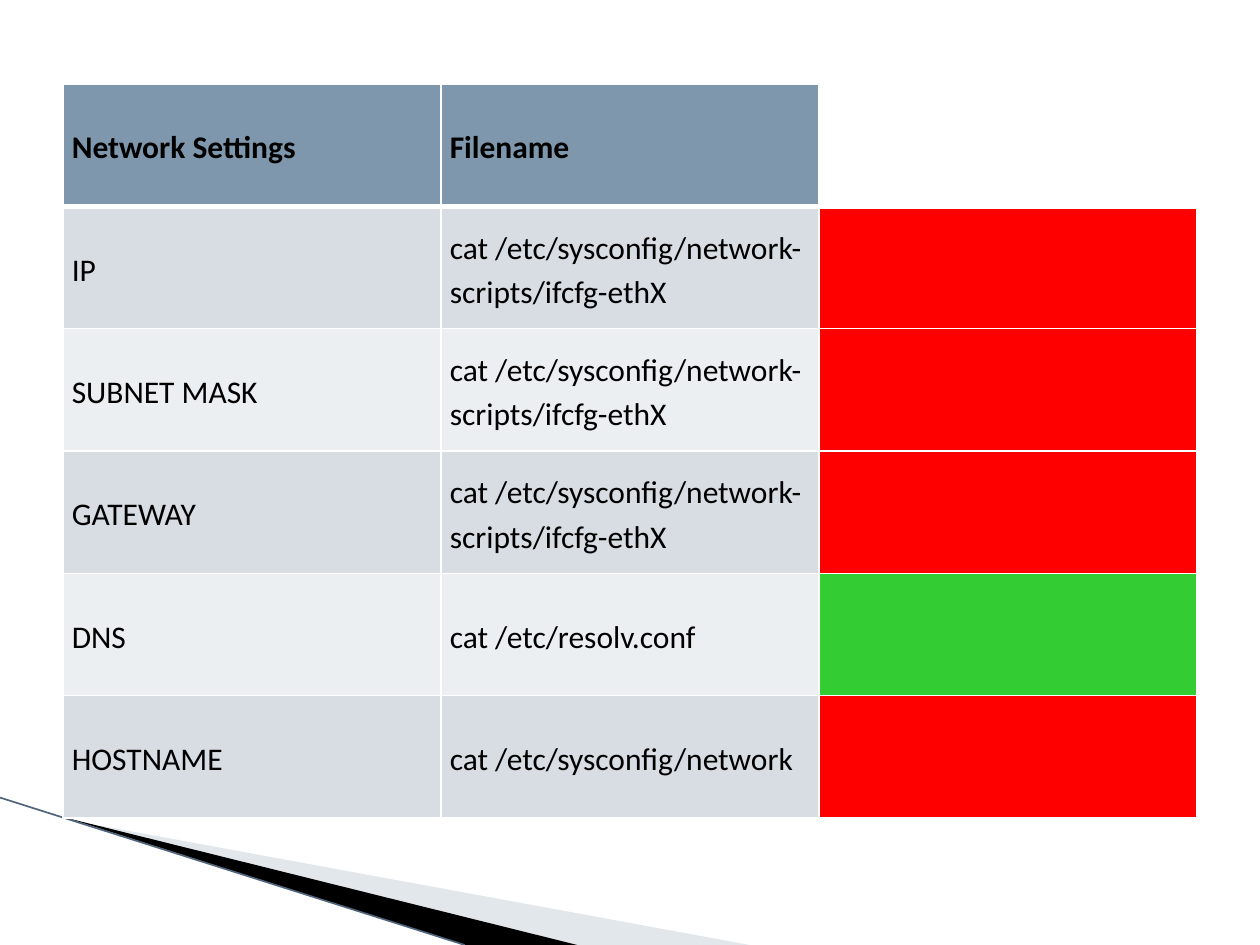
import dataclasses

import lxml.etree
import pptx
import pptx.dml.color
import pptx.enum.shapes
import pptx.enum.text
import pptx.oxml.ns
import pptx.util


@dataclasses.dataclass(frozen=True)
class Theme:
    font: str = "Calibri"
    text_size: int = 18
    line_spacing: float = 1.15
    ink: str = "000000"
    paper: str = "FFFFFF"
    header: str = "7E97AD"
    bands: tuple = ("D8DDE3", "ECEFF1")
    red: str = "FF0000"
    green: str = "33CC33"
    pale_wedge: str = "B7C4D0"
    pale_opacity: int = 40
    edge: str = "50657B"
    edge_width: float = 0.95
    rule: float = 1
    header_rule: float = 3


THEME = Theme()
INTERFACE_FILE = "cat /etc/sysconfig/network-scripts/ifcfg-ethX"
SETTINGS = [
    ("IP", INTERFACE_FILE, THEME.red),
    ("SUBNET MASK", INTERFACE_FILE, THEME.red),
    ("GATEWAY", INTERFACE_FILE, THEME.red),
    ("DNS", "cat /etc/resolv.conf", THEME.green),
    ("HOSTNAME", "cat /etc/sysconfig/network", THEME.red),
]


def rgb(value):
    return pptx.dml.color.RGBColor.from_string(value)


def add_child(parent, tag, **attributes):
    child = lxml.etree.SubElement(parent, pptx.oxml.ns.qn(tag))
    for key, value in attributes.items():
        child.set(key, str(value))
    return child


def place(box, across, down):
    left, top, width, height = box
    return round(left + across * width), round(top + down * height)


def draw_wedge(slide, box, corners, color, opacity=100):
    start, *rest = [place(box, *corner) for corner in corners]
    outline = slide.shapes.build_freeform(*start)
    outline.add_line_segments(rest, close=True)
    wedge = outline.convert_to_shape()
    wedge.shadow.inherit = False
    wedge.fill.solid()
    wedge.fill.fore_color.rgb = rgb(color)
    wedge.line.fill.background()
    if opacity < 100:
        tint = wedge.fill._xPr.find(".//" + pptx.oxml.ns.qn("a:srgbClr"))
        add_child(tint, "a:alpha", val=opacity * 1000)


def draw_corner(slide, box):
    draw_wedge(slide, box, [(0.09, 0.15), (1, 1), (0.77, 1)],
               THEME.pale_wedge, THEME.pale_opacity)
    draw_wedge(slide, box, [(0.09, 0.14), (0.77, 1), (0.62, 1)], THEME.ink)
    edge = slide.shapes.add_connector(
        pptx.enum.shapes.MSO_CONNECTOR.STRAIGHT,
        *place(box, 0, 0), *place(box, 0.62, 1))
    edge.line.color.rgb = rgb(THEME.edge)
    edge.line.width = pptx.util.Pt(THEME.edge_width)
    add_child(edge._element.spPr, "a:effectLst")


def rule_cell(cell, top, bottom):
    properties = cell._tc.get_or_add_tcPr()
    widths = {"a:lnL": THEME.rule, "a:lnR": THEME.rule,
              "a:lnT": top, "a:lnB": bottom}
    for tag, width in widths.items():
        rule = add_child(properties, tag, w=pptx.util.Pt(width))
        add_child(add_child(rule, "a:solidFill"), "a:srgbClr", val=THEME.paper)


def write_cell(cell, wording, bold):
    cell.vertical_anchor = pptx.enum.text.MSO_ANCHOR.MIDDLE
    cell.margin_left = cell.margin_right = pptx.util.Inches(0.07)
    cell.margin_top = cell.margin_bottom = 0
    paragraph = cell.text_frame.paragraphs[0]
    paragraph.line_spacing = THEME.line_spacing
    run = paragraph.add_run()
    run.text = wording
    run.font.name = THEME.font
    run.font.size = pptx.util.Pt(THEME.text_size)
    run.font.bold = bold
    run.font.color.rgb = rgb(THEME.ink)


def draw_settings(slide, box):
    headings = ("Network Settings", "Filename", "")
    lines = [(headings, (THEME.header, THEME.header, THEME.paper))]
    for index, (setting, filename, status) in enumerate(SETTINGS):
        band = THEME.bands[index % 2]
        lines.append(((setting, filename, ""), (band, band, status)))

    table = slide.shapes.add_table(len(lines), len(headings), *box).table
    for row_index, (wordings, fills) in enumerate(lines):
        top = THEME.header_rule if row_index == 1 else THEME.rule
        bottom = THEME.header_rule if row_index == 0 else THEME.rule
        for column_index, (wording, fill) in enumerate(zip(wordings, fills)):
            cell = table.cell(row_index, column_index)
            rule_cell(cell, top, bottom)
            cell.fill.solid()
            cell.fill.fore_color.rgb = rgb(fill)
            if wording:
                write_cell(cell, wording, bold=row_index == 0)


def main():
    deck = pptx.Presentation()
    deck.slide_width = pptx.util.Inches(10)
    deck.slide_height = pptx.util.Inches(7.5)
    width, height = deck.slide_width, deck.slide_height
    slide = deck.slides.add_slide(deck.slide_layouts[6])
    slide.background.fill.solid()
    slide.background.fill.fore_color.rgb = rgb(THEME.paper)

    corner_top = round(height * 0.844)
    draw_corner(slide, (0, corner_top, round(width * 0.595), height - corner_top))
    draw_settings(slide, (round(width * 0.05), round(height * 0.089),
                          round(width * 0.9), round(height * 0.777)))
    deck.save("out.pptx")


if __name__ == "__main__":
    main()
